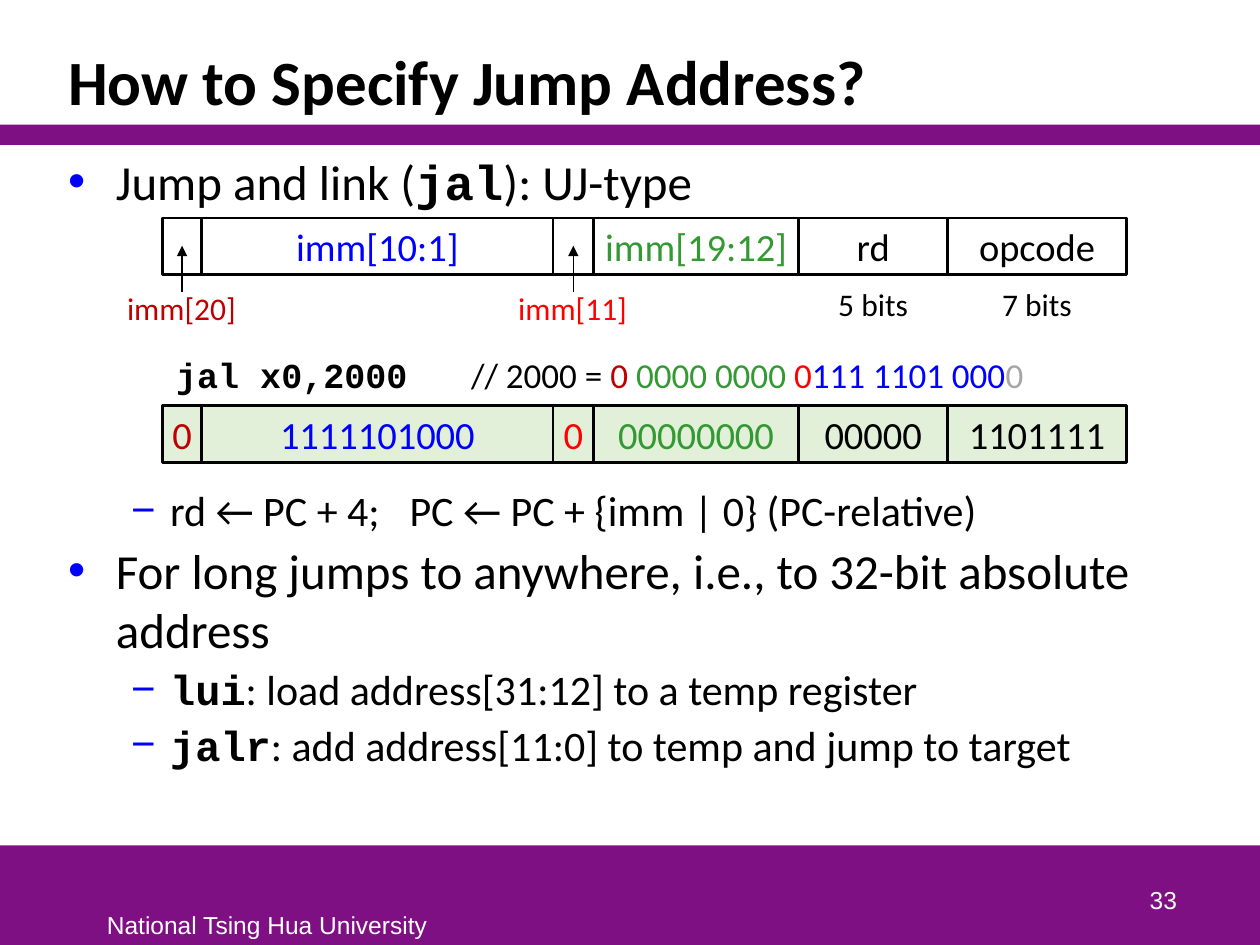
from lxml import etree
from pptx import Presentation
from pptx.dml.color import RGBColor
from pptx.enum.shapes import MSO_CONNECTOR, MSO_SHAPE
from pptx.enum.text import MSO_ANCHOR, MSO_AUTO_SIZE, PP_ALIGN
from pptx.oxml.ns import qn
from pptx.util import Inches, Pt

RECT = MSO_SHAPE.RECTANGLE
STRAIGHT = MSO_CONNECTOR.STRAIGHT
LEFT, CENTER, RIGHT = PP_ALIGN.LEFT, PP_ALIGN.CENTER, PP_ALIGN.RIGHT
TOP, MIDDLE, BOTTOM = MSO_ANCHOR.TOP, MSO_ANCHOR.MIDDLE, MSO_ANCHOR.BOTTOM
NO_FIT = MSO_AUTO_SIZE.NONE

SANS, MONO, FOOT = "Calibri", "Courier New", "Arial"
BLACK, WHITE, PURPLE, PALE = "000000", "FFFFFF", "7F1084", "E2F0D9"
BLUE, GREEN, RED, DARK_RED, GRAY = "0000FF", "339933", "FF0000", "C00000", "A6A6A6"

EDGES = [1.29, 1.6, 4.39, 4.71, 6.34, 7.52, 8.94]
FIELD_COLORS = [DARK_RED, BLUE, RED, GREEN, BLACK, BLACK]
ROW_H = 0.45
FORMAT_Y, CODE_Y = 1.73, 3.22
FORMAT = ["", "imm[10:1]", "", "imm[19:12]", "rd", "opcode"]
ENCODING = ["0", "1111101000", "0", "00000000", "00000", "1101111"]
INDENTS = [0.38, 0.81]
HANGS = [0.38, 0.31]
SIZES = [28, 24]
BULLETS = ["•", "−"]
PC_TAB = 2.71


def rgb(color):
    return RGBColor.from_string(color)


def add_run(p, text, size, color=BLACK, font=SANS, bold=False):
    r = p.add_run()
    r.text = text
    r.font.size = Pt(size)
    r.font.name = font
    r.font.bold = bold
    r.font.color.rgb = rgb(color)


def place(sp, x, y, w, h):
    sp.left, sp.top, sp.width, sp.height = (Inches(v) for v in (x, y, w, h))


def add_tabs(p, stops):
    tabs = etree.SubElement(p._p.get_or_add_pPr(), qn("a:tabLst"))
    for stop in stops:
        etree.SubElement(tabs, qn("a:tab"), pos=str(Inches(stop)), algn="l")


def add_box(s, x, y, w, h, fill=None, line=None):
    sp = s.shapes.add_shape(RECT, *(Inches(v) for v in (x, y, w, h)))
    sp.shadow.inherit = False
    if fill:
        sp.fill.solid()
        sp.fill.fore_color.rgb = rgb(fill)
    else:
        sp.fill.background()
    if line:
        sp.line.color.rgb = rgb(line)
        sp.line.width = Pt(1.5)
    else:
        sp.line.fill.background()
    return sp


def add_text(s, x, y, w, h, align=LEFT, anchor=TOP, wrap=False):
    sp = s.shapes.add_textbox(*(Inches(v) for v in (x, y, w, h)))
    tf = sp.text_frame
    tf.word_wrap = wrap
    tf.vertical_anchor = anchor
    p = tf.paragraphs[0]
    p.alignment = align
    return p


def add_fields(s, y, texts, inset, fill=None):
    for x, end, text, color in zip(EDGES, EDGES[1:], texts, FIELD_COLORS):
        tf = add_box(s, x, y, end - x, ROW_H, fill, BLACK).text_frame
        tf.margin_left = tf.margin_right = Inches(inset)
        tf.vertical_anchor = MIDDLE
        if text:
            p = tf.paragraphs[0]
            p.alignment = CENTER
            add_run(p, text, 22, color)


def add_width(s, col, text):
    mid = (EDGES[col] + EDGES[col + 1]) / 2
    p = add_text(s, mid - 0.38, FORMAT_Y + 0.48, 0.76, 0.4, CENTER)
    add_run(p, text, 18)


def add_callout(s, col, text):
    mid = (EDGES[col] + EDGES[col + 1]) / 2
    y = FORMAT_Y + 0.59
    p = add_text(s, mid - 0.54, y, 1.07, 0.34, CENTER)
    p.line_spacing = Pt(16)
    add_run(p, text, 18, FIELD_COLORS[col])
    ends = (Inches(v) for v in (mid, y, mid, FORMAT_Y + 0.22))
    arrow = s.shapes.add_connector(STRAIGHT, *ends)
    arrow.line.color.rgb = rgb(BLACK)
    arrow.line.width = Pt(0.75)
    etree.SubElement(arrow.line._get_or_add_ln(), qn("a:tailEnd"), type="triangle")
    etree.SubElement(arrow._element.spPr, qn("a:effectLst"))


def add_item(tf, level, parts, before=3, tabs=()):
    first = not tf.paragraphs[0].runs
    p = tf.paragraphs[0] if first else tf.add_paragraph()
    p.level = level
    pPr = p._p.get_or_add_pPr()
    pPr.set("marL", str(Inches(INDENTS[level])))
    pPr.set("indent", str(-Inches(HANGS[level])))
    clr = etree.SubElement(pPr, qn("a:buClr"))
    etree.SubElement(clr, qn("a:srgbClr"), val=BLUE)
    etree.SubElement(pPr, qn("a:buFont"), typeface=FOOT)
    etree.SubElement(pPr, qn("a:buChar"), char=BULLETS[level])
    if tabs:
        add_tabs(p, tabs)
    p.space_before = Pt(0 if first else before)
    for text, font in parts:
        add_run(p, text, SIZES[level], font=font, bold=font == MONO)


def add_title(s):
    title = s.shapes.title
    place(title, 0.44, 0.25, 9.12, 0.74)
    tf = title.text_frame
    tf.auto_size = NO_FIT
    tf.vertical_anchor = BOTTOM
    p = tf.paragraphs[0]
    p.alignment = LEFT
    p.line_spacing = 0.85
    add_run(p, "How to Specify Jump Address?", 36, bold=True)


def add_body(s):
    body = s.placeholders[1]
    place(body, 0.44, 1.15, 9.12, 5.53)
    tf = body.text_frame
    tf.auto_size = NO_FIT
    add_item(tf, 0, [("Jump and link (", SANS), ("jal", MONO), ("): UJ-type", SANS)])
    add_item(tf, 1, [("rd ← PC + 4;\tPC ← PC + {imm | 0} (PC-relative)", SANS)],
             before=157, tabs=(PC_TAB - INDENTS[1], PC_TAB))
    add_item(tf, 0, [("For long jumps to anywhere, i.e., to 32-bit absolute address", SANS)])
    add_item(tf, 1, [("lui", MONO), (": load address[31:12] to a temp register", SANS)])
    add_item(tf, 1, [("jalr", MONO), (": add address[11:0] to temp and jump to target", SANS)])


def add_example(s):
    p = add_text(s, 1.3, 2.76, 6.97, 0.44, wrap=True)
    add_tabs(p, [2.34])
    add_run(p, "jal x0,2000\t", 20, font=MONO, bold=True)
    for text, color in [("// 2000 = ", BLACK), ("0 ", DARK_RED),
                        ("0000 0000 ", GREEN), ("0", RED),
                        ("111 1101 000", BLUE), ("0", GRAY)]:
        add_run(p, text, 20, color)


def main():
    prs = Presentation()
    prs.slide_width, prs.slide_height = Inches(10), Inches(7.5)
    s = prs.slides.add_slide(prs.slide_layouts[1])
    add_box(s, 0, 6.71, 10, 0.79, PURPLE)
    add_box(s, 0, 0.99, 10, 0.16, PURPLE)
    p = add_text(s, 0.75, 7.17, 2.76, 0.33)
    add_run(p, "National Tsing Hua University", 14, WHITE, FOOT)
    p = add_text(s, 7.36, 6.81, 2.08, 0.5, RIGHT, BOTTOM, True)
    add_run(p, "33", 14, WHITE, FOOT)
    add_title(s)
    add_body(s)
    add_fields(s, FORMAT_Y, FORMAT, 0.04)
    add_width(s, 4, "5 bits")
    add_width(s, 5, "7 bits")
    add_callout(s, 0, "imm[20]")
    add_callout(s, 2, "imm[11]")
    add_example(s)
    add_fields(s, CODE_Y, ENCODING, 0, PALE)
    prs.save("out.pptx")


if __name__ == "__main__":
    main()
